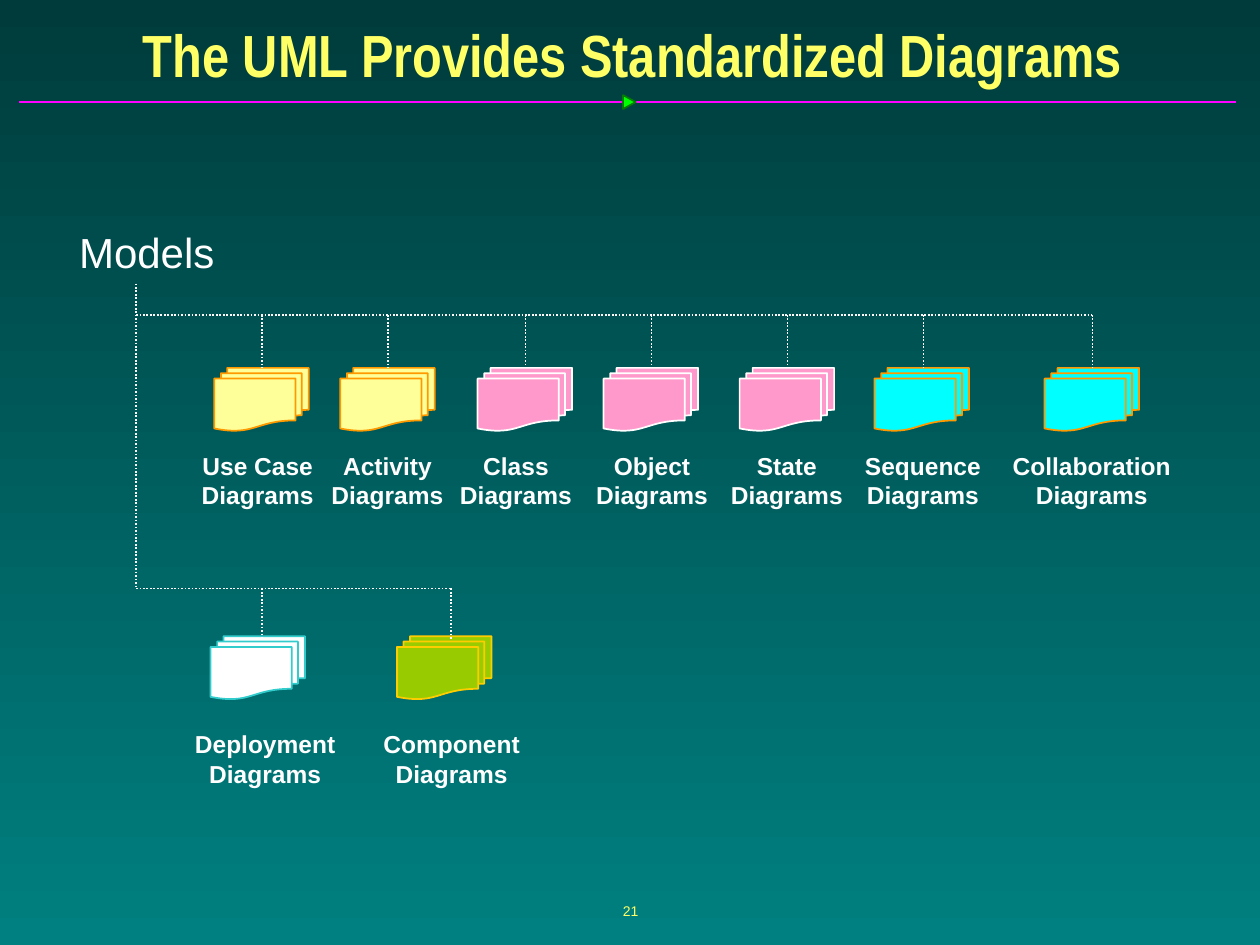
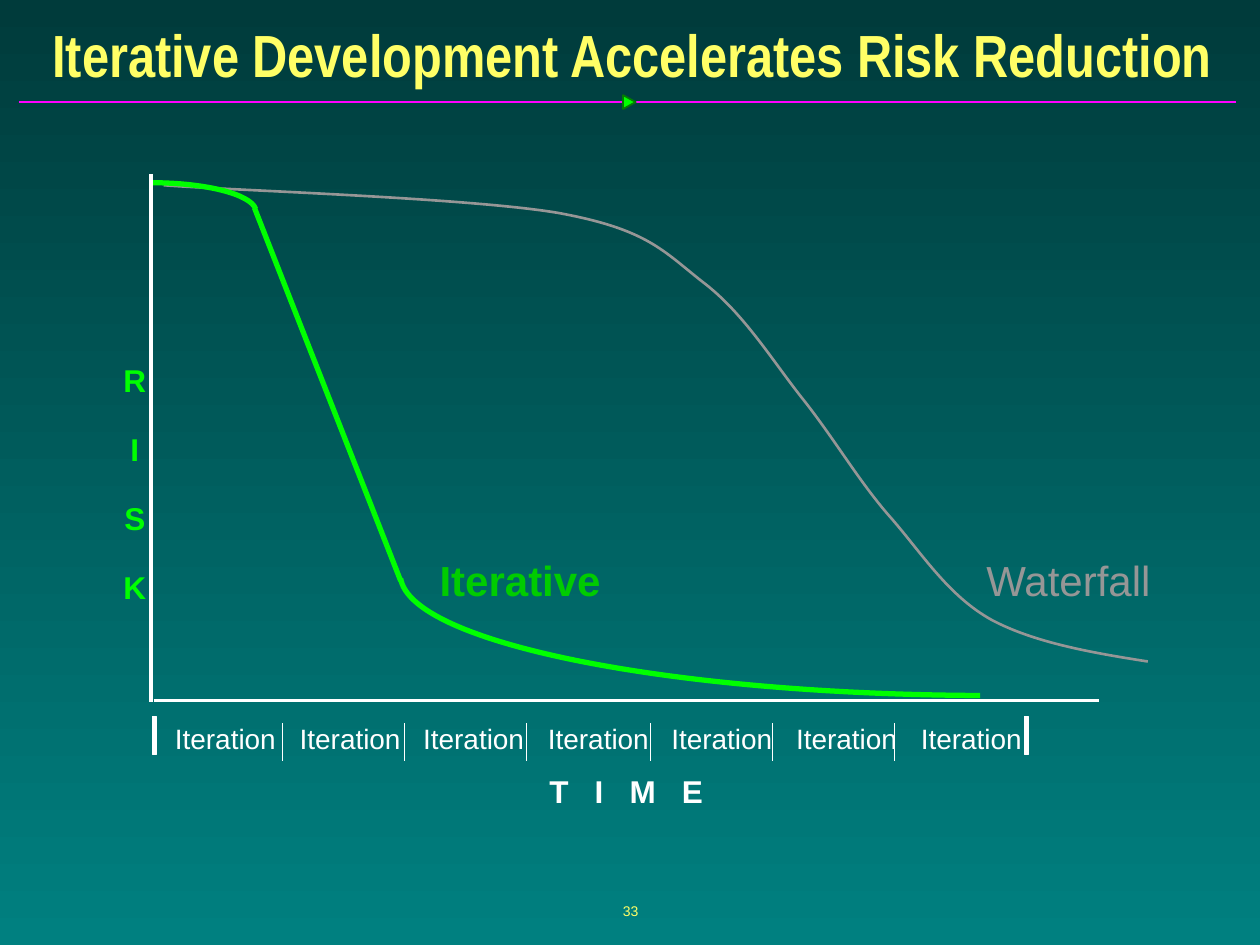
from lxml.etree import SubElement
from pptx import Presentation
from pptx.dml.color import RGBColor
from pptx.enum.dml import MSO_LINE
from pptx.enum.shapes import MSO_CONNECTOR, MSO_SHAPE
from pptx.enum.text import MSO_ANCHOR, MSO_AUTO_SIZE, PP_ALIGN
from pptx.oxml.ns import qn
from pptx.util import Pt

PX = 9144  # EMU in one px, 100 px to the inch

WHITE, GREEN, GRAY = "FFFFFF", "00FF00", "969696"
YELLOW, ORANGE = "FFFF66", "FF9900"
CREAM, PINK, CYAN = "FFFF99", "FF99CC", "00FFFF"
LEFT, MID, RIGHT = PP_ALIGN.LEFT, PP_ALIGN.CENTER, PP_ALIGN.RIGHT

# Label, branch x, icon left, label centre, fill, outline
TOP_ROW = [
    ("Use Case", 208, 170, 204, CREAM, ORANGE),
    ("Activity", 308, 270, 307, CREAM, ORANGE),
    ("Class", 417, 379, 409, PINK, WHITE),
    ("Object", 517, 479, 517, PINK, WHITE),
    ("State", 625, 587, 624, PINK, WHITE),
    ("Sequence", 733, 694, 732, CYAN, ORANGE),
    ("Collaboration", 867, 829, 866, CYAN, ORANGE),
]
LOW_ROW = [
    ("Deployment", 208, 167, 210, WHITE, "33CCCC"),
    ("Component", 358, 315, 358, "99CC00", "FFCC00"),
]

# Start point, then two control points and an end point for each bend
FALL = [(130, 147),
        (182, 151), (372, 157), (443, 169),
        (514, 182), (526, 199), (558, 224),
        (591, 249), (614, 288), (639, 319),
        (664, 351), (683, 384), (708, 412),
        (733, 441), (753, 473), (787, 492),
        (821, 510), (866, 518), (911, 525)]
EARLY = [(120, 145), (163, 145), (199, 154), (203, 166)]
LATE = [(778, 552), (529, 551), (326, 510), (318, 459)]


def px(*sizes):
    return [round(size * PX) for size in sizes]


def rgb(code):
    return RGBColor.from_string(code)


def text(slide, words, box, shape=None, size=14, color=WHITE, bold=False,
         font="Arial", align=MID, anchor=MSO_ANCHOR.TOP, wrap=False,
         inset=(10, 5), leading=None, gap=0, track=0):
    """Write one paragraph per line of words, in a new box or a given shape."""
    shape = shape or slide.shapes.add_textbox(*px(*box))
    shape.left, shape.top, shape.width, shape.height = px(*box)
    frame = shape.text_frame
    frame.auto_size = MSO_AUTO_SIZE.NONE
    frame.word_wrap = wrap
    frame.vertical_anchor = anchor
    frame.margin_left = frame.margin_right = px(inset[0])[0]
    frame.margin_top = frame.margin_bottom = px(inset[1])[0]
    for i, line in enumerate(words.split("\n")):
        para = frame.paragraphs[0] if i == 0 else frame.add_paragraph()
        para.alignment = align
        if leading:
            para.line_spacing = leading
        if i and gap:
            para.space_before = Pt(gap)
        run = para.add_run()
        run.text = line
        run.font.name, run.font.size, run.font.bold = font, Pt(size), bold
        run.font.color.rgb = rgb(color)
        if track:
            run.font._element.set("spc", str(track * 100))
    return shape


def rule(slide, start, end, color=WHITE, width=1, dash=None):
    line = slide.shapes.add_connector(MSO_CONNECTOR.STRAIGHT, *px(*start, *end))
    line.line.color.rgb = rgb(color)
    line.line.width = Pt(width)
    if dash:
        line.line.dash_style = dash
    SubElement(line._element.spPr, qn("a:effectLst"))


def block(slide, kind, box, fill, edge, width=1):
    shape = slide.shapes.add_shape(kind, *px(*box))
    shape.shadow.inherit = False
    shape.fill.solid()
    shape.fill.fore_color.rgb = rgb(fill)
    shape.line.color.rgb = rgb(edge)
    shape.line.width = Pt(width)
    return shape


def curve(slide, points, color, width):
    """Draw a smooth open line through cubic bends."""
    draft = slide.shapes.build_freeform(*points[0], scale=PX)
    draft.add_line_segments(points[1:], close=False)
    shape = draft.convert_to_shape()
    shape.shadow.inherit = False
    shape.fill.background()
    shape.line.color.rgb = rgb(color)
    shape.line.width = Pt(width)
    # Turn each three straight steps into one bend
    track = shape._element.xpath(".//a:path")[0]
    steps = track.findall(qn("a:lnTo"))
    for i in range(0, len(steps), 3):
        bend = SubElement(track, qn("a:cubicBezTo"))
        for step in steps[i:i + 3]:
            bend.append(step[0])
            track.remove(step)


def paint(deck):
    """Give the master its teal gradient."""
    fill = deck.slide_master.background.fill
    fill.gradient()
    fill.gradient_angle = 270
    for stop, code in zip(fill.gradient_stops, ("003B3B", "008080")):
        stop.color.rgb = rgb(code)


def page(deck, title, number):
    """Add a slide with its title, ruled band and page number."""
    slide = deck.slides.add_slide(deck.slide_layouts[5])
    rule(slide, (15, 81), (981, 81), "FF01FF")
    block(slide, MSO_SHAPE.ISOSCELES_TRIANGLE, (494, 76, 11, 10),
          GREEN, "037C03").rotation = 90
    text(slide, number, (342, 698, 317, 50), size=8, color=YELLOW,
         anchor=MSO_ANCHOR.MIDDLE)
    text(slide, title, (10, 14, 984, 58), shape=slide.shapes.title, size=34,
         color=YELLOW, bold=True, font="Arial Narrow",
         anchor=MSO_ANCHOR.MIDDLE, wrap=True)
    return slide


def branch(slide, row, trunk, bar, top, end, label):
    """Hang one row of diagram icons from a dotted bar."""
    for name, drop, left, mid, fill, edge in row:
        block(slide, MSO_SHAPE.FLOWCHART_MULTIDOCUMENT, (left, top, 75, 50),
              fill, edge)
        text(slide, f"{name}\nDiagrams", (mid - 72, label, 145, 57), bold=True)
        rule(slide, (drop, bar), (drop, end), dash=MSO_LINE.ROUND_DOT)
    rule(slide, (trunk, bar), (row[-1][1], bar), dash=MSO_LINE.ROUND_DOT)


def models(deck):
    slide = page(deck, "The UML Provides Standardized Diagrams", "21")
    text(slide, "Models", (53, 175, 127, 50), size=24)
    rule(slide, (108, 225), (108, 467), dash=MSO_LINE.ROUND_DOT)
    branch(slide, TOP_ROW, trunk=108, bar=250, top=292, end=292, label=353)
    branch(slide, LOW_ROW, trunk=108, bar=467, top=505, end=508, label=574)


def risk(deck):
    slide = page(deck, "Iterative Development Accelerates Risk Reduction", "33")

    # Risk curves
    rule(slide, (122, 556), (872, 556), width=2)
    curve(slide, FALL, GRAY, 1.5)
    text(slide, "Waterfall", (773, 435, 151, 50), size=24, color=GRAY, align=LEFT)
    curve(slide, EARLY, GREEN, 3)
    rule(slide, (202, 165), (318, 461), GREEN, 3)
    curve(slide, LATE, GREEN, 3)
    text(slide, "Iterative", (339, 435, 148, 50), size=24, color="00CC00",
         bold=True, align=LEFT)

    # Axes
    rule(slide, (120, 138), (120, 557), width=2)
    text(slide, "R\nI\nS\nK", (89, 286, 36, 198), size=18, color=GREEN,
         bold=True, inset=(9, 4), leading=0.9, gap=20)
    text(slide, "T I M E", (427, 612, 140, 36), size=18, bold=True, align=LEFT,
         inset=(9, 4), leading=0.9, track=5)

    # Time scale
    for i in range(7):
        text(slide, "Iteration", (round(133 + 98.6 * i), 576, 86, 24), size=16,
             align=RIGHT, inset=(0, 0), leading=0.9)
    for i in range(6):
        x = round(224 + 97.2 * i)
        rule(slide, (x, 574), (x, 604), width=0.5)
    for x in (121, 813):
        block(slide, MSO_SHAPE.RECTANGLE, (x, 569, 3, 30), WHITE, WHITE, 0.5)


def main():
    deck = Presentation()
    deck.slide_width, deck.slide_height = px(1000, 750)
    paint(deck)
    models(deck)
    risk(deck)
    deck.save("out.pptx")


if __name__ == "__main__":
    main()
